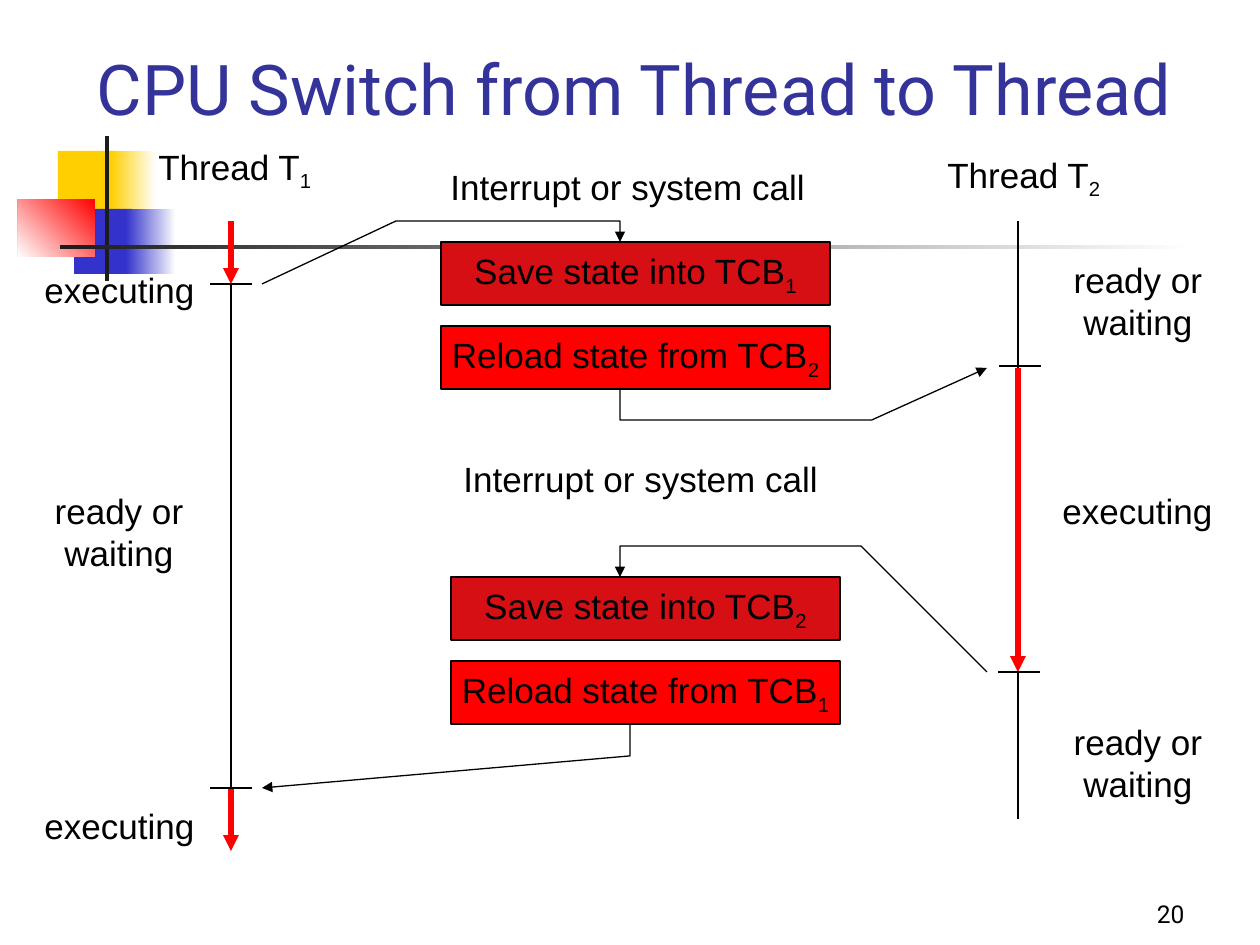
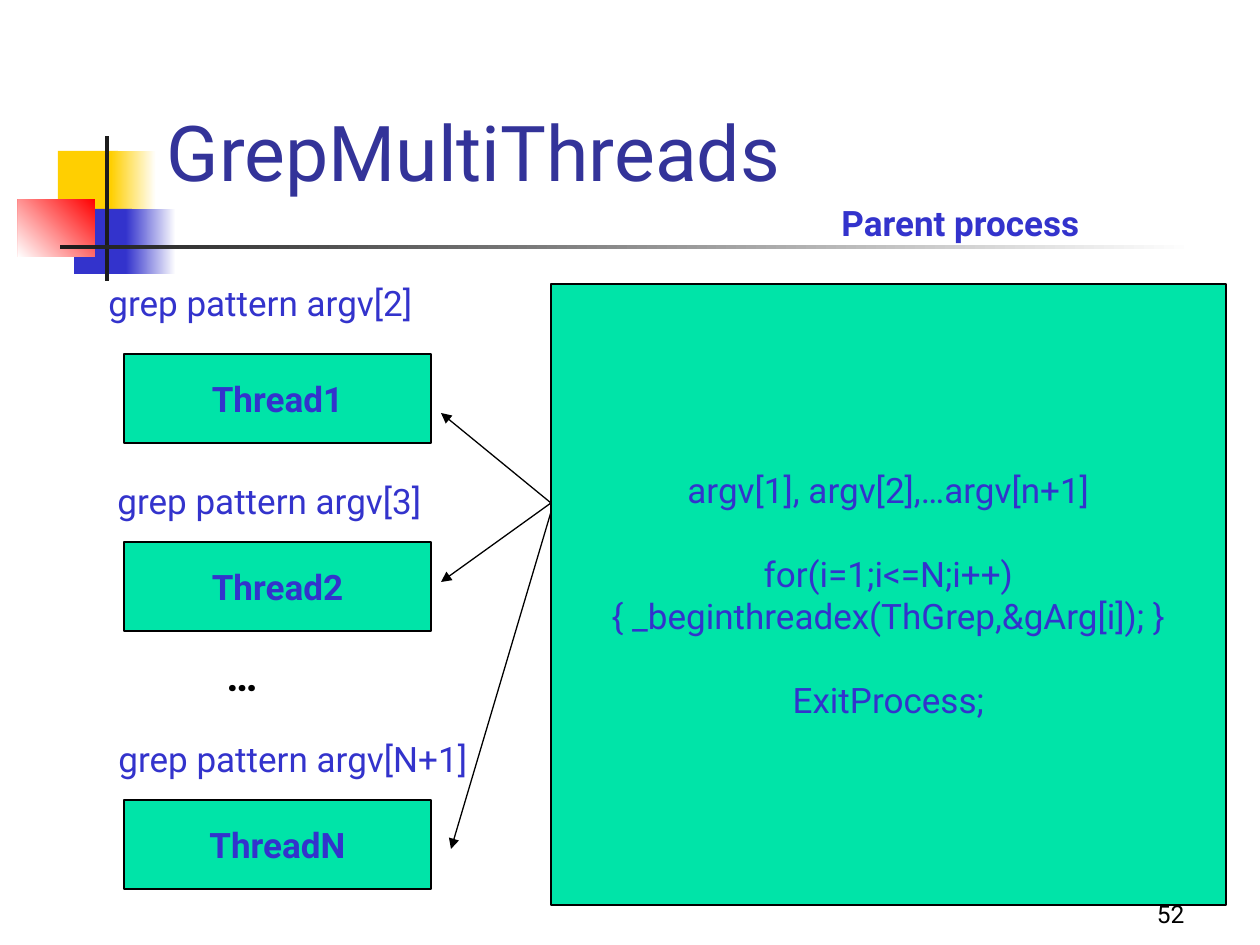
from lxml import etree
from pptx import Presentation
from pptx.dml.color import RGBColor
from pptx.enum.shapes import MSO_CONNECTOR, MSO_SHAPE
from pptx.enum.text import MSO_ANCHOR, MSO_AUTO_SIZE, PP_ALIGN
from pptx.oxml.ns import qn
from pptx.util import Emu, Pt

PX = 914400 / 126  # EMU per px, 126 px to the inch
BLACK, WHITE, RED, DARK_RED = "000000", "FFFFFF", "FF0000", "D50F14"
YELLOW, BLUE, NAVY, GREEN, CHARCOAL = "FFCF01", "3333CC", "333399", "00E4A8", "1C1C1C"
ALIGN = {"left": PP_ALIGN.LEFT, "center": PP_ALIGN.CENTER, "right": PP_ALIGN.RIGHT}
hex_color = RGBColor.from_string


def write(slide, text, box, size=20, font="Roboto", color=BLACK, bold=False, align="left",
          anchor=MSO_ANCHOR.TOP, wrap=False, fill=None, subscript="", title=False, gaps=()):
    """Put text in the title, a filled box or a text box; gaps lists lines set off by a blank line."""
    place = [Emu(round(value * PX)) for value in box]
    if title:
        shape = slide.shapes.title
        shape.left, shape.top, shape.width, shape.height = place
    elif fill:
        shape = slide.shapes.add_shape(MSO_SHAPE.RECTANGLE, *place)
        shape.shadow.inherit = False
        shape.fill.solid()
        shape.fill.fore_color.rgb = hex_color(fill)
        shape.line.color.rgb = hex_color(BLACK)
        shape.line.width = Pt(0.75)
        align, anchor = "center", MSO_ANCHOR.MIDDLE
    else:
        shape = slide.shapes.add_textbox(*place)
    frame = shape.text_frame
    frame.auto_size = MSO_AUTO_SIZE.NONE
    frame.word_wrap = wrap
    frame.vertical_anchor = anchor
    frame.text = text
    if subscript:
        run = frame.paragraphs[-1].add_run()
        run.text = subscript
        run._r.get_or_add_rPr().set("baseline", "-25000")
    for index, paragraph in enumerate(frame.paragraphs):
        paragraph.alignment = ALIGN[align]
        if index in gaps:
            paragraph.space_before = Pt(24)
        for run in paragraph.runs:
            run.font.size, run.font.name, run.font.bold = Pt(size), font, bold
            run.font.color.rgb = hex_color(color)


def draw_path(slide, points, color=BLACK, width=0.75, arrow=False):
    """Draw a connector through two points, or an open outline through more."""
    if len(points) == 2:
        ends = [Emu(round(value * PX)) for point in points for value in point]
        path = slide.shapes.add_connector(MSO_CONNECTOR.STRAIGHT, *ends)
    else:
        builder = slide.shapes.build_freeform(*points[0], scale=PX)
        builder.add_line_segments(points[1:], close=False)
        path = builder.convert_to_shape()
        path.fill.background()
    path.line.color.rgb = hex_color(color)
    path.line.width = Pt(width)
    if arrow:
        etree.SubElement(path.line._get_or_add_ln(), qn("a:tailEnd"), type="triangle")
    etree.SubElement(path.element.spPr, qn("a:effectLst"))


deck = Presentation()
deck.slide_width, deck.slide_height = Emu(round(1260 * PX)), Emu(round(945 * PX))
layout = deck.slide_layouts[5]
for footer in list(layout.placeholders)[1:]:
    footer.element.getparent().remove(footer.element)
switch = deck.slides.add_slide(layout)
grep = deck.slides.add_slide(layout)

# Shared decoration, built once and moved to the layout: box, start colour, end colour, angle
for box, start, end, angle in [
    ((58, 151, 60, 65), YELLOW, None, 0),
    ((111, 151, 45, 65), YELLOW, WHITE, 0),
    ((74, 209, 58, 65), BLUE, None, 0),
    ((126, 209, 50, 65), BLUE, WHITE, 0),
    ((18, 199, 77, 58), RED, WHITE, 225),
    ((105, 136, 4, 145), CHARCOAL, None, 0),
    ((60, 245, 1134, 4), CHARCOAL, WHITE, 0),
]:
    band = switch.shapes.add_shape(MSO_SHAPE.RECTANGLE, *[Emu(round(v * PX)) for v in box])
    band.shadow.inherit = False
    band.line.fill.background()
    if end:
        band.fill.gradient()
        band.fill.gradient_angle = angle
        for stop, color, position in zip(band.fill.gradient_stops, (start, end), (0, 1)):
            stop.color.rgb = hex_color(color)
            stop.position = position
    else:
        band.fill.solid()
        band.fill.fore_color.rgb = hex_color(start)
    layout.shapes.element.append(band.element)

for slide, heading, box, size in [
    (switch, "CPU Switch from Thread to Thread", (84, 29, 1148, 107), 40),
    (grep, "GrepMultiThreads", (154, 45, 1074, 158), 44),
]:
    write(slide, heading, box, size=size, color=NAVY, anchor=MSO_ANCHOR.BOTTOM,
          wrap=True, title=True)

# Slide 1: thread names and states
for thread, left, top in [("1", 146, 139), ("2", 935, 147)]:
    write(switch, "Thread T", (left, top, 179, 60), font="Arial", subscript=thread)
for left, top in [(32, 262), (32, 798), (1050, 483)]:
    write(switch, "executing", (left, top, 175, 55), font="Arial")
for left, top in [(42, 483), (1061, 252), (1061, 714)]:
    write(switch, "ready or\nwaiting", (left, top, 154, 97), font="Arial", align="center")

# Each switch saves one thread and reloads the other
for left, top, call_left, call_top, saved, reloaded in [
    (441, 242, 438, 159, "1", "2"),
    (451, 577, 451, 451, "2", "1"),
]:
    write(switch, "Interrupt or system call", (call_left, call_top, 379, 55), font="Arial")
    write(switch, "Save state into TCB", (left, top, 389, 63), font="Arial",
          fill=DARK_RED, subscript=saved)
    write(switch, "Reload state from TCB", (left, top + 84, 389, 63), font="Arial",
          fill=RED, subscript=reloaded)

# Timelines: red arrows while executing, thin lines while waiting
for x, top, bottom, executing in [
    (231, 221, 284, True), (231, 284, 788, False), (231, 788, 851, True),
    (1018, 221, 368, False), (1018, 368, 672, True), (1018, 672, 819, False),
]:
    draw_path(switch, [(x, top), (x, bottom)], color=RED if executing else BLACK,
              width=3 if executing else 0.75, arrow=executing)
for left, y in [(210, 284), (210, 788), (999, 366), (998, 672)]:
    draw_path(switch, [(left, y), (left + 42, y)])
for route in [
    [(262, 284), (396, 221), (620, 221), (620, 242)],
    [(620, 388), (620, 420), (872, 420), (987, 368)],
    [(987, 672), (861, 546), (620, 546), (620, 577)],
    [(630, 725), (630, 756), (262, 788)],
]:
    draw_path(switch, route, arrow=True)

# Slide 2: worker threads on the left, parent process on the right
for name, top, argument, left, label_top, width in [
    ("Thread1", 354, "2", 96, 275, 359),
    ("Thread2", 542, "3", 105, 473, 359),
    ("ThreadN", 800, "N+1", 106, 731, 407),
]:
    write(grep, name, (124, top, 307, 89), color=BLUE, bold=True, fill=GREEN)
    write(grep, f"grep pattern argv[{argument}]", (left, label_top, width, 55), color=BLUE)
write(grep, "…", (214, 643, 60, 63), size=24, bold=True)
write(grep, "Parent process", (829, 195, 286, 55), color=BLUE, bold=True)
parent_code = """argv[1], argv[2],…argv[n+1]
for(i=1;i<=N;i++)
{ _beginthreadex(ThGrep,&gArg[i]); }
ExitProcess;"""
write(grep, parent_code, (551, 284, 675, 621), color=BLUE, fill=GREEN, gaps=(1, 3))
for start, end in [((551, 503), (441, 413)), ((551, 503), (441, 582)), ((551, 512), (451, 849))]:
    draw_path(grep, [start, end], arrow=True)

for slide, number in [(switch, "20"), (grep, "52")]:
    write(slide, number, (935, 872, 262, 63), size=14, align="right",
          anchor=MSO_ANCHOR.BOTTOM, wrap=True)

deck.save("out.pptx")
